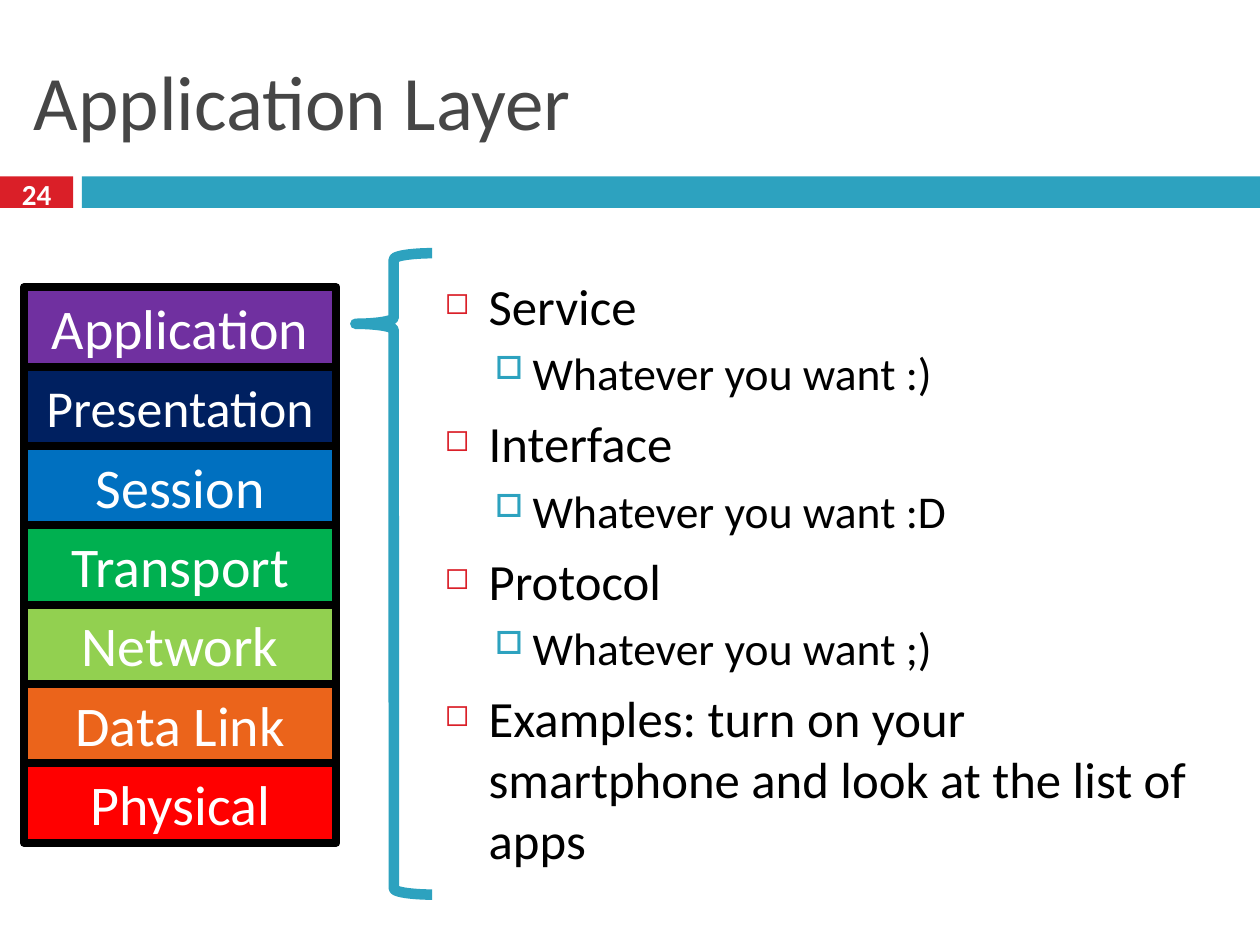
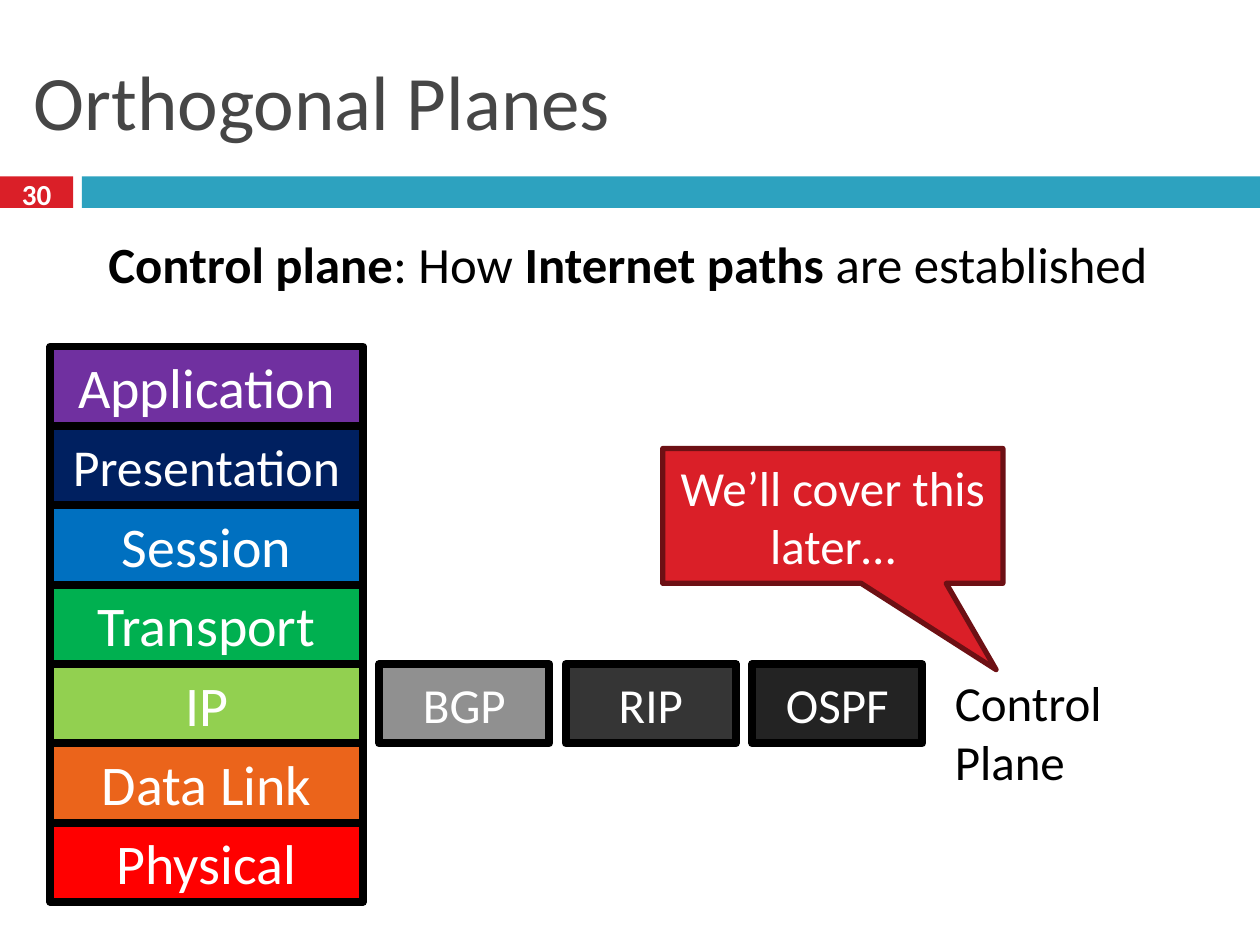
from dataclasses import dataclass

from lxml.etree import SubElement
from pptx import Presentation
from pptx.dml.color import RGBColor
from pptx.enum.shapes import MSO_SHAPE
from pptx.enum.text import MSO_ANCHOR, PP_ALIGN
from pptx.oxml.ns import qn
from pptx.shapes.autoshape import Shape
from pptx.slide import Slide
from pptx.text.text import TextFrame
from pptx.util import Inches, Pt

FONT = "Calibri"
COLORS = {
    "title": "464646",
    "text": "000000",
    "white": "FFFFFF",
    "outline": "000000",
    "red": "DA1F28",
    "dark_red": "6D1014",
    "teal": "2DA2BF",
    "application": "7030A0",
    "presentation": "002060",
    "session": "0070C0",
    "transport": "00B050",
    "network": "92D050",
    "data_link": "EB641B",
    "physical": "FF0000",
    "bgp": "909090",
    "rip": "353535",
    "ospf": "232323",
}
LAYER_WIDTH = 2.48
LAYER_HEIGHT = 0.63
PROTOCOL_WIDTH = 1.35
PROTOCOL_GAP = 0.13
NETWORK_ROW = 4


@dataclass(frozen=True)
class Box:
    left: float
    top: float
    width: float
    height: float


@dataclass(frozen=True)
class Span:
    text: str
    size: float
    color: str = "text"
    bold: bool = False


@dataclass(frozen=True)
class Block:
    label: str
    color: str
    size: float = 32


@dataclass(frozen=True)
class BulletStyle:
    character: str
    color: str
    scale: int
    indent: float
    hanging: float
    size: float
    space_before: float


@dataclass(frozen=True)
class Bullet:
    text: str
    level: int = 0


BULLET_STYLES = (
    BulletStyle("◻", "red", 60, 0.35, 0.35, 29, 7),
    BulletStyle("□", "teal", 70, 0.7, 0.3, 26, 5.5),
)
BULLETS = (
    Bullet("Service"),
    Bullet("Whatever you want :)", 1),
    Bullet("Interface"),
    Bullet("Whatever you want :D", 1),
    Bullet("Protocol"),
    Bullet("Whatever you want ;)", 1),
    Bullet("Examples: turn on your smartphone and look at the list of apps"),
)
PROTOCOLS = (
    Block("BGP", "bgp", 28),
    Block("RIP", "rip", 28),
    Block("OSPF", "ospf", 28),
)


def layers(network_label: str) -> tuple[Block, ...]:
    return (
        Block("Application", "application"),
        Block("Presentation", "presentation", 29.6),
        Block("Session", "session"),
        Block("Transport", "transport"),
        Block(network_label, "network"),
        Block("Data Link", "data_link"),
        Block("Physical", "physical"),
    )


def rgb(name: str) -> RGBColor:
    return RGBColor.from_string(COLORS[name])


def inches(box: Box) -> tuple[Inches, ...]:
    return tuple(Inches(value) for value in (box.left, box.top, box.width, box.height))


def add_spans(paragraph, *spans: Span) -> None:
    for span in spans:
        run = paragraph.add_run()
        run.text = span.text
        run.font.name = FONT
        run.font.size = Pt(span.size)
        run.font.bold = span.bold
        run.font.color.rgb = rgb(span.color)


def add_shape(
    slide: Slide,
    kind: MSO_SHAPE,
    box: Box,
    fill: str | None = None,
    line: str | None = None,
    line_width: float = 4.5,
) -> Shape:
    shape = slide.shapes.add_shape(kind, *inches(box))
    shape.shadow.inherit = False
    if fill:
        shape.fill.solid()
        shape.fill.fore_color.rgb = rgb(fill)
    else:
        shape.fill.background()
    if line:
        shape.line.color.rgb = rgb(line)
        shape.line.width = Pt(line_width)
    else:
        shape.line.fill.background()
    return shape


def write(
    frame: TextFrame,
    *spans: Span,
    alignment: PP_ALIGN = PP_ALIGN.CENTER,
    anchor: MSO_ANCHOR = MSO_ANCHOR.MIDDLE,
) -> None:
    frame.word_wrap = True
    frame.vertical_anchor = anchor
    paragraph = frame.paragraphs[0]
    paragraph.alignment = alignment
    add_spans(paragraph, *spans)


def add_text_frame(slide: Slide, box: Box) -> TextFrame:
    return slide.shapes.add_textbox(*inches(box)).text_frame


def add_titled_slide(presentation, title: str, number: int) -> Slide:
    slide = presentation.slides.add_slide(presentation.slide_layouts[6])
    add_shape(slide, MSO_SHAPE.RECTANGLE, Box(0, 1.4, 0.58, 0.25), "red")
    add_shape(slide, MSO_SHAPE.RECTANGLE, Box(0.65, 1.4, 9.35, 0.25), "teal")
    title_frame = add_text_frame(slide, Box(0.17, 0.25, 9.67, 1.08))
    write(title_frame, Span(title, 44, "title"), alignment=PP_ALIGN.LEFT)
    number_frame = add_text_frame(slide, Box(0, 1.37, 0.58, 0.33))
    write(number_frame, Span(str(number), 16.6, "white", True))
    return slide


def add_block(slide: Slide, block: Block, box: Box) -> None:
    shape = add_shape(slide, MSO_SHAPE.RECTANGLE, box, block.color, "outline")
    write(shape.text_frame, Span(block.label, block.size, "white"))


def add_layer_stack(slide: Slide, left: float, top: float, network_label: str) -> None:
    for row, layer in enumerate(layers(network_label)):
        box = Box(left, top + row * LAYER_HEIGHT, LAYER_WIDTH, LAYER_HEIGHT)
        add_block(slide, layer, box)


def add_bullet(paragraph, bullet: Bullet) -> None:
    style = BULLET_STYLES[bullet.level]
    paragraph.level = bullet.level
    paragraph.space_before = Pt(style.space_before)
    add_spans(paragraph, Span(bullet.text, style.size))
    properties = paragraph._p.get_or_add_pPr()
    properties.set("marL", str(Inches(style.indent)))
    properties.set("indent", str(-Inches(style.hanging)))
    color = SubElement(properties, qn("a:buClr"))
    SubElement(color, qn("a:srgbClr"), val=COLORS[style.color])
    SubElement(properties, qn("a:buSzPct"), val=str(style.scale * 1000))
    SubElement(properties, qn("a:buChar"), char=style.character)


def build_application_layer(presentation) -> None:
    slide = add_titled_slide(presentation, "Application Layer", 24)
    frame = add_text_frame(slide, Box(3.43, 1.75, 6.4, 5.58))
    frame.word_wrap = True
    frame.vertical_anchor = MSO_ANCHOR.MIDDLE
    for index, bullet in enumerate(BULLETS):
        paragraph = frame.add_paragraph() if index else frame.paragraphs[0]
        add_bullet(paragraph, bullet)
    add_layer_stack(slide, 0.19, 2.28, "Network")
    brace = add_shape(
        slide, MSO_SHAPE.LEFT_BRACE, Box(2.82, 2.01, 0.61, 5.09), line="teal", line_width=6
    )
    brace.adjustments[0] = 0.08
    brace.adjustments[1] = 0.11


def build_orthogonal_planes(presentation) -> None:
    slide = add_titled_slide(presentation, "Orthogonal Planes", 30)
    stack_top = 2.75
    add_layer_stack(slide, 0.4, stack_top, "IP")
    network_top = stack_top + NETWORK_ROW * LAYER_HEIGHT
    for column, protocol in enumerate(PROTOCOLS):
        left = 3.01 + column * (PROTOCOL_WIDTH + PROTOCOL_GAP)
        add_block(slide, protocol, Box(left, network_top, PROTOCOL_WIDTH, LAYER_HEIGHT))
    write(
        add_text_frame(slide, Box(7.48, 5.29, 2.3, 0.57)),
        Span("Control Plane", 28),
        alignment=PP_ALIGN.LEFT,
        anchor=MSO_ANCHOR.TOP,
    )
    callout = add_shape(
        slide,
        MSO_SHAPE.RECTANGULAR_CALLOUT,
        Box(5.26, 3.56, 2.7, 1.07),
        "red",
        "dark_red",
        3,
    )
    callout.adjustments[0] = 0.48
    callout.adjustments[1] = 1.14
    write(callout.text_frame, Span("We’ll cover this later…", 28, "white"))
    write(
        add_text_frame(slide, Box(0.68, 1.8, 8.61, 0.59)),
        Span("Control plane", 29, bold=True),
        Span(": How ", 29),
        Span("Internet paths", 29, bold=True),
        Span(" are established", 29),
        anchor=MSO_ANCHOR.TOP,
    )


def main() -> None:
    presentation = Presentation()
    presentation.slide_width = Inches(10)
    presentation.slide_height = Inches(7.5)
    build_application_layer(presentation)
    build_orthogonal_planes(presentation)
    presentation.save("out.pptx")


if __name__ == "__main__":
    main()
